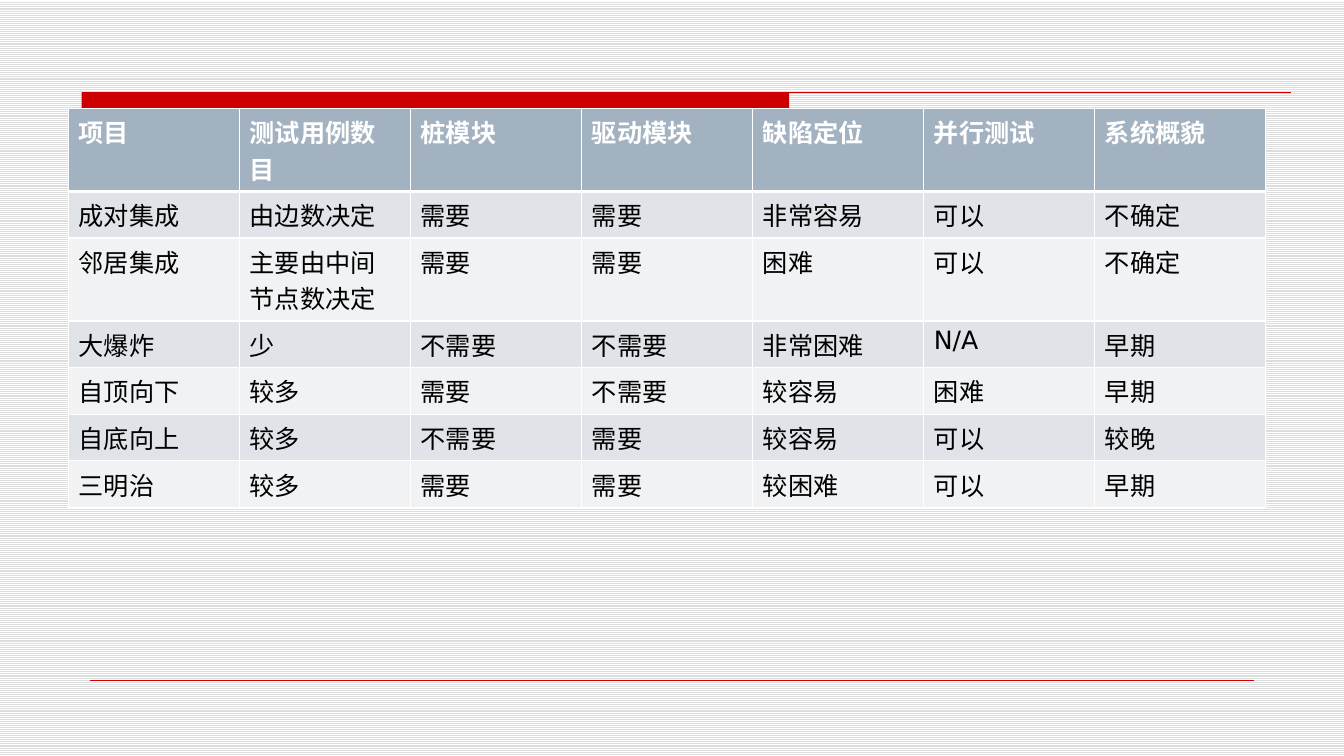
import pptx
import pptx.util
import pptx.dml.color
import pptx.enum.dml
import pptx.enum.shapes
import pptx.oxml
import pptx.oxml.ns

Cm = pptx.util.Cm
Pt = pptx.util.Pt


def tint(code):
    return pptx.dml.color.RGBColor.from_string(code)


class Page:
    font = "DejaVu Sans"
    size = 18
    red = "CC0000"
    white = "FFFFFF"
    black = "000000"
    head = "A3B2C1"
    bands = ("E0E4E9", "F0F2F4")

    def __init__(self, deck):
        self.slide = deck.slides.add_slide(deck.slide_layouts[6])
        self.shapes = self.slide.shapes

    def back(self, fore, base):
        fill = self.slide.background.fill
        fill.patterned()
        fill.pattern = pptx.enum.dml.MSO_PATTERN.LIGHT_HORIZONTAL
        fill.fore_color.rgb = tint(fore)
        fill.back_color.rgb = tint(base)

    def bar(self, left, top, width, height):
        kind = pptx.enum.shapes.MSO_SHAPE.RECTANGLE
        shape = self.shapes.add_shape(kind, Cm(left), Cm(top), Cm(width), Cm(height))
        shape.shadow.inherit = False
        shape.fill.solid()
        shape.fill.fore_color.rgb = tint(self.red)
        shape.line.fill.background()

    def rule(self, left, right, top, weight):
        kind = pptx.enum.shapes.MSO_CONNECTOR.STRAIGHT
        line = self.shapes.add_connector(kind, Cm(left), Cm(top), Cm(right), Cm(top))
        line.line.color.rgb = tint(self.red)
        line.line.width = Pt(weight)
        props = line._element.spPr
        props.append(props.makeelement(pptx.oxml.ns.qn("a:effectLst"), {}))

    def edge(self, cell, side, weight):
        space = pptx.oxml.ns.nsdecls("a")
        node = pptx.oxml.parse_xml(
            f'<a:ln{side} {space} w="{Pt(weight)}"><a:solidFill>'
            f'<a:srgbClr val="{self.white}"/></a:solidFill></a:ln{side}>')
        cell._tc.get_or_add_tcPr().append(node)

    def cell(self, cell, text, row):
        first = row == 0
        weights = {"L": 1, "R": 1, "T": 3 if row == 1 else 1, "B": 3 if first else 1}
        for side, weight in weights.items():
            self.edge(cell, side, weight)
        cell.fill.solid()
        cell.fill.fore_color.rgb = tint(self.head if first else self.bands[(row - 1) % 2])
        cell.text = text
        font = cell.text_frame.paragraphs[0].font
        font.name = self.font
        font.size = Pt(self.size)
        font.bold = first
        font.color.rgb = tint(self.white if first else self.black)

    def table(self, left, top, width, height, rows):
        count = len(rows[0])
        frame = self.shapes.add_table(
            len(rows), count, Cm(left), Cm(top), Cm(width * count), Cm(height * len(rows)))
        for r, row in enumerate(rows):
            for c, text in enumerate(row):
                self.cell(frame.table.cell(r, c), text, r)


deck = pptx.Presentation()
deck.slide_width = Cm(33.87)
deck.slide_height = Cm(19.05)

page = Page(deck)
page.back("DDDDDD", "FFFFFF")
page.bar(2.06, 2.33, 17.83, 0.4)
page.rule(2.06, 32.54, 2.33, 0.75)
page.rule(2.26, 31.6, 17.15, 0.25)
page.table(1.73, 2.73, 4.31, 1.03, [
    ["项目", "测试用例数目", "桩模块", "驱动模块", "缺陷定位", "并行测试", "系统概貌"],
    ["成对集成", "由边数决定", "需要", "需要", "非常容易", "可以", "不确定"],
    ["邻居集成", "主要由中间节点数决定", "需要", "需要", "困难", "可以", "不确定"],
    ["大爆炸", "少", "不需要", "不需要", "非常困难", "N/A", "早期"],
    ["自顶向下", "较多", "需要", "不需要", "较容易", "困难", "早期"],
    ["自底向上", "较多", "不需要", "需要", "较容易", "可以", "较晚"],
    ["三明治", "较多", "需要", "需要", "较困难", "可以", "早期"],
])

deck.save("out.pptx")
